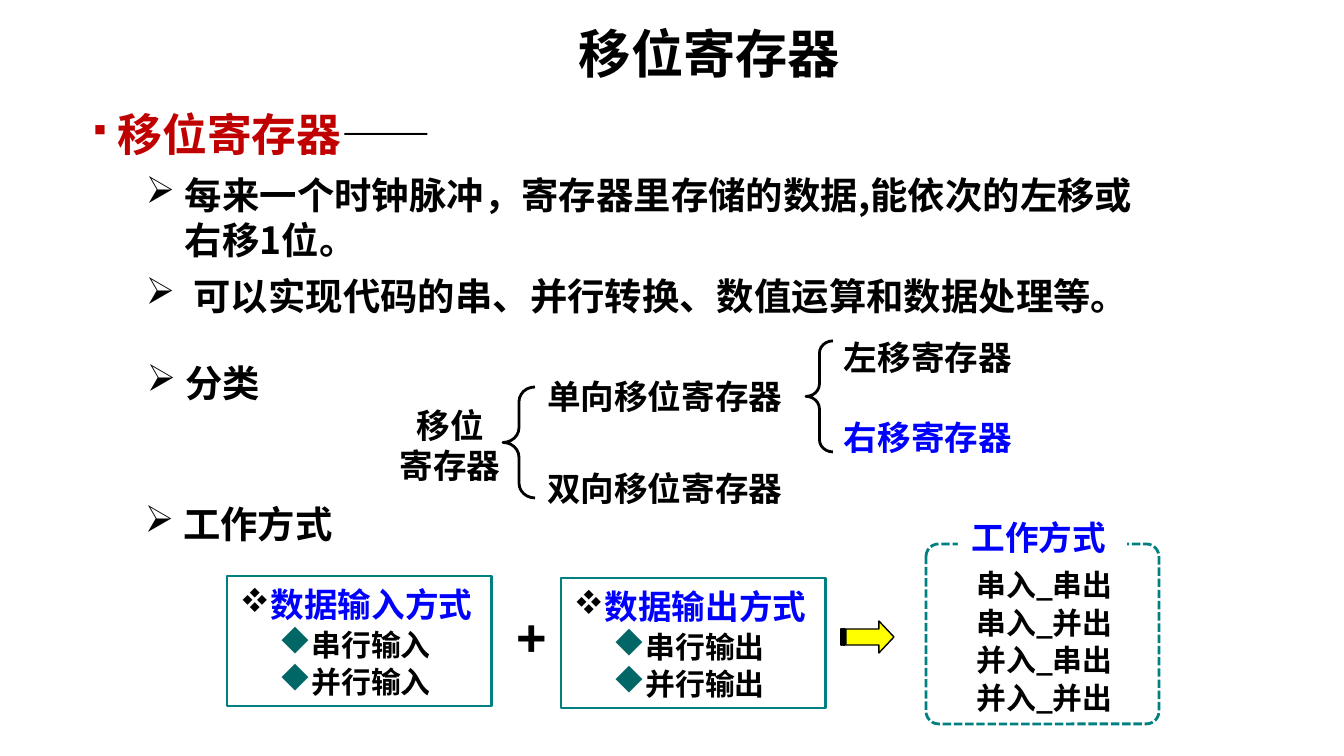
"""Build a slide that introduces shift registers, their kinds and working modes."""
from typing import NamedTuple, Optional

from lxml.etree import SubElement
from pptx import Presentation
from pptx.dml.color import RGBColor
from pptx.enum.dml import MSO_LINE
from pptx.enum.shapes import MSO_SHAPE as Preset
from pptx.enum.text import MSO_ANCHOR as Anchor, PP_ALIGN as Align
from pptx.oxml.ns import qn
from pptx.util import Pt

EMU_PER_PX = 914400 / 134.4
BLACK = RGBColor(0x00, 0x00, 0x00)
WHITE = RGBColor(0xFF, 0xFF, 0xFF)
RED = RGBColor(0xC0, 0x00, 0x00)
BLUE = RGBColor(0x00, 0x00, 0xFF)
TEAL = RGBColor(0x00, 0x80, 0x80)
DARK_TEAL = RGBColor(0x00, 0x66, 0x66)
YELLOW = RGBColor(0xFF, 0xFF, 0x00)
CJK_FONT = "Noto Sans CJK SC"
BULLET_FONT = "Wingdings"


class Box(NamedTuple):
    left: int
    top: int
    width: int
    height: int


class Bullet(NamedTuple):
    char: str
    color: RGBColor = BLACK
    percent: int = 100
    margin: int = 0
    hanging: int = 0


class Line(NamedTuple):
    text: str
    size: int
    color: RGBColor = BLACK
    bullet: Optional[Bullet] = None
    align: Align = Align.LEFT
    before: float = 0
    spacing: float = 1.0
    font: str = CJK_FONT
    tail: str = ""


class Outline(NamedTuple):
    color: RGBColor
    width: float = 1.5
    dash: Optional[MSO_LINE] = None


SQUARE = Bullet("§", RED, 70)
ARROW = Bullet("Ø")
INDENTED_ARROW = Bullet("Ø", margin=92, hanging=39)
FLOWER = Bullet("v")
DIAMOND = Bullet("u", DARK_TEAL, 110, margin=66, hanging=27)


def px(length: int) -> int:
    return round(length * EMU_PER_PX)


def add_bullet(paragraph, bullet: Bullet) -> None:
    properties = paragraph._p.get_or_add_pPr()
    properties.set("marL", str(px(bullet.margin)))
    properties.set("indent", str(px(-bullet.hanging)))
    color = SubElement(properties, qn("a:buClr"))
    SubElement(color, qn("a:srgbClr"), val=str(bullet.color))
    SubElement(properties, qn("a:buSzPct"), val=str(bullet.percent * 1000))
    SubElement(properties, qn("a:buFont"), typeface=BULLET_FONT, charset="2")
    SubElement(properties, qn("a:buChar"), char=bullet.char)


def write_line(paragraph, line: Line) -> None:
    paragraph.alignment = line.align
    paragraph.line_spacing = line.spacing
    paragraph.space_before = Pt(line.before)
    if line.bullet:
        add_bullet(paragraph, line.bullet)
    font = paragraph.font
    font.size, font.bold, font.name = Pt(line.size), True, line.font
    SubElement(font._element, qn("a:ea"), typeface=line.font)
    run = paragraph.add_run()
    run.text = line.text
    if line.tail:
        run.font.color.rgb = line.color
        tail = paragraph.add_run()
        tail.text = line.tail
        tail.font.color.rgb = BLACK
    else:
        font.color.rgb = line.color


def write_lines(shape, lines: list[Line], side_inset: int = 13) -> None:
    frame = shape.text_frame
    frame.word_wrap = True
    frame.margin_left = frame.margin_right = px(side_inset)
    frame.margin_top = frame.margin_bottom = px(7)
    for index, line in enumerate(lines):
        write_line(frame.paragraphs[0] if index == 0 else frame.add_paragraph(), line)


def add_text(slide, box: Box, *lines: Line) -> None:
    write_lines(slide.shapes.add_textbox(*map(px, box)), list(lines))


def add_preset(slide, preset: Preset, box: Box, outline: Optional[Outline] = None,
               fill: Optional[RGBColor] = None, adjustments: tuple[float, ...] = ()):
    shape = slide.shapes.add_shape(preset, *map(px, box))
    shape.shadow.inherit = False
    for index, value in enumerate(adjustments):
        shape.adjustments[index] = value
    if fill is None:
        shape.fill.background()
    else:
        shape.fill.solid()
        shape.fill.fore_color.rgb = fill
    if outline is None:
        shape.line.fill.background()
    else:
        shape.line.color.rgb = outline.color
        shape.line.width = Pt(outline.width)
        if outline.dash is not None:
            shape.line.dash_style = outline.dash
    return shape


def add_mode_panel(slide, box: Box, direction: str) -> None:
    panel = add_preset(slide, Preset.RECTANGLE, box, Outline(TEAL))
    panel.text_frame.vertical_anchor = Anchor.MIDDLE
    heading = Line(f"数据{direction}方式", 18, BLUE, FLOWER, Align.JUSTIFY, spacing=1.05)
    kinds = [Line(f"{kind}行{direction}", 16, BLACK, DIAMOND, Align.JUSTIFY, spacing=1.05)
             for kind in "串并"]
    write_lines(panel, [heading, *kinds])


def add_brace(slide, box: Box) -> None:
    add_preset(slide, Preset.LEFT_BRACE, box, Outline(BLACK), adjustments=(0.46, 0.5))


def main() -> None:
    presentation = Presentation()
    presentation.slide_width, presentation.slide_height = px(1344), px(756)
    slide = presentation.slides.add_slide(presentation.slide_layouts[6])

    add_text(slide, Box(270, 14, 879, 77), Line("移位寄存器", 28, align=Align.CENTER))
    add_text(slide, Box(80, 100, 1079, 224),
             Line(" 移位寄存器", 24, RED, SQUARE, tail="——"),
             Line("每来一个时钟脉冲，寄存器里存储的数据,能依次的左移或右移1位。", 20,
                  bullet=INDENTED_ARROW, before=6),
             Line(" 可以实现代码的串、并行转换、数值运算和数据处理等。", 20,
                  bullet=INDENTED_ARROW, before=6))
    add_text(slide, Box(134, 353, 167, 59), Line(" 分类", 20, bullet=ARROW))
    add_text(slide, Box(132, 494, 254, 59), Line(" 工作方式", 20, bullet=ARROW))

    add_text(slide, Box(376, 398, 148, 94),
             *[Line(text, 18, align=Align.CENTER) for text in ("移位", "寄存器")])
    add_brace(slide, Box(503, 387, 32, 111))
    for top, text in ((369, "单向移位寄存器"), (461, "双向移位寄存器")):
        add_text(slide, Box(534, top, 286, 54), Line(text, 18))
    add_brace(slide, Box(806, 341, 27, 111))
    add_text(slide, Box(831, 330, 222, 134),
             Line("左移寄存器", 18), Line("右移寄存器", 18, BLUE, before=21.5))

    add_mode_panel(slide, Box(227, 576, 265, 130), "输入")
    add_text(slide, Box(503, 597, 74, 77), Line("+", 28, font="Arial"))
    add_mode_panel(slide, Box(561, 578, 265, 130), "输出")
    add_preset(slide, Preset.STRIPED_RIGHT_ARROW, Box(841, 621, 53, 32),
               Outline(BLACK, 0.75), YELLOW, (0.5, 0.47))

    add_preset(slide, Preset.ROUNDED_RECTANGLE, Box(926, 544, 233, 180),
               Outline(TEAL, dash=MSO_LINE.SQUARE_DOT), adjustments=(0.07,))
    add_text(slide, Box(928, 558, 233, 164),
             *[Line(f"{source}入_{target}出", 16, align=Align.CENTER, spacing=1.05)
               for source in "串并" for target in "串并"])
    label = add_preset(slide, Preset.RECTANGLE, Box(958, 510, 169, 54), fill=WHITE)
    write_lines(label, [Line("工作方式 ", 18, BLUE, align=Align.CENTER)], side_inset=0)

    presentation.save("out.pptx")


if __name__ == "__main__":
    main()
